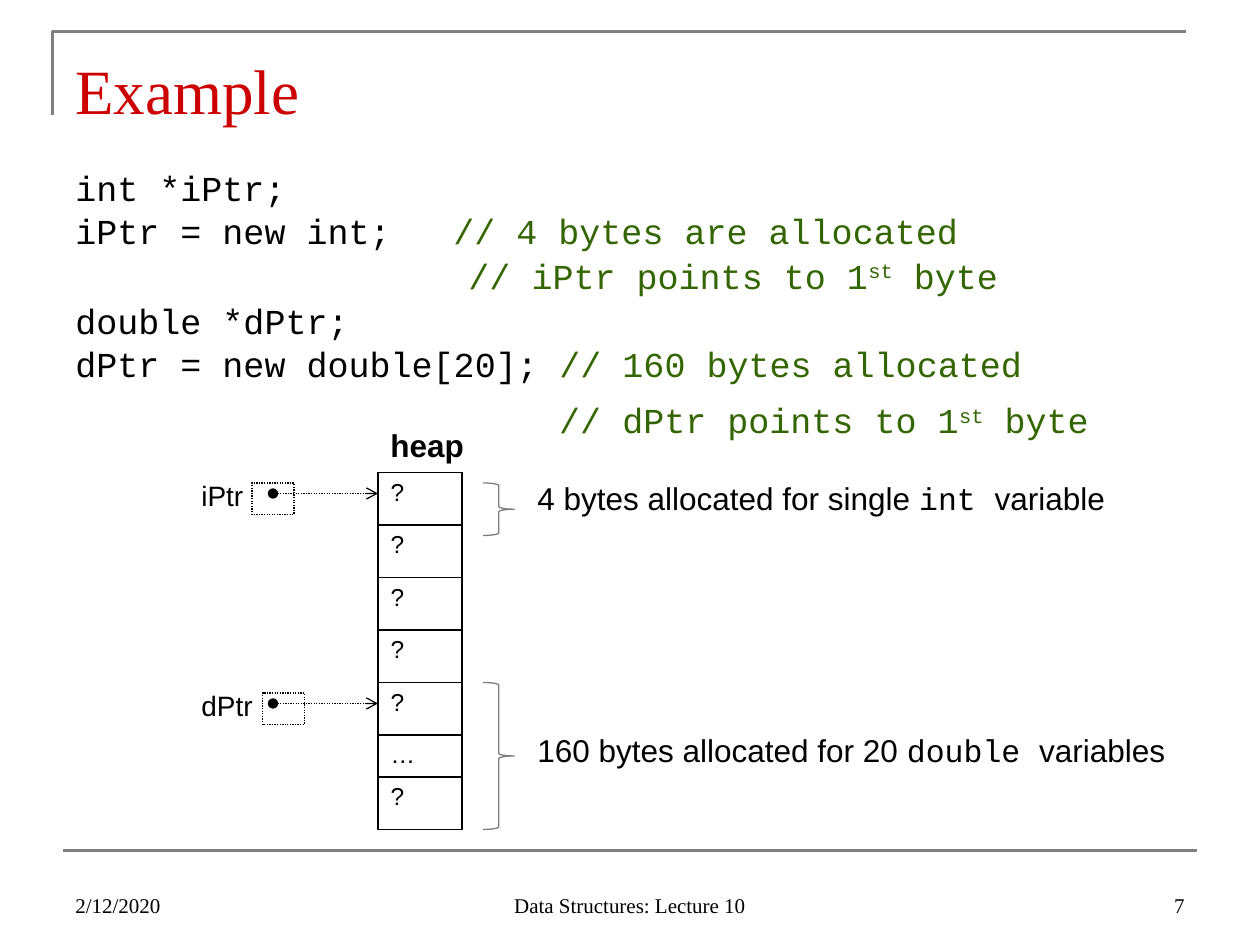
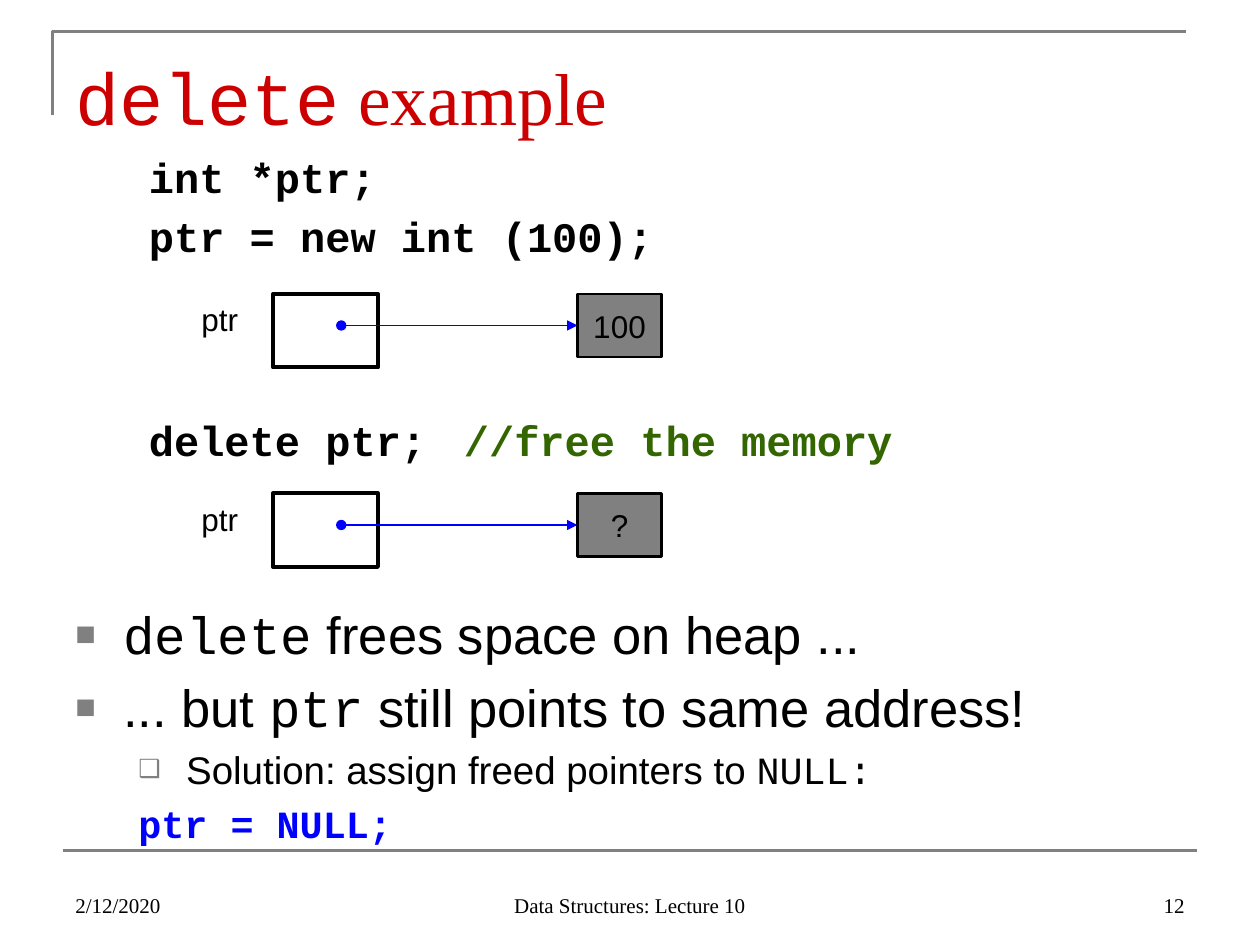
"""Build two lecture slides on dynamic memory: new and delete."""
from lxml import etree
from pptx import Presentation
from pptx import util as u
from pptx.dml.color import RGBColor
from pptx.enum import dml, shapes, text
from pptx.oxml.ns import qn

BLACK = RGBColor(0x00, 0x00, 0x00)
GRAY = RGBColor(0x80, 0x80, 0x80)
BRACE = RGBColor(0x7D, 0x7D, 0x7D)
RED = RGBColor(0xCC, 0x00, 0x00)
GREEN = RGBColor(0x33, 0x66, 0x00)
BLUE = RGBColor(0x00, 0x00, 0xFF)
SANS, MONO, SERIF = "Arial", "Courier New", "Times New Roman"
LEFT, CENTER, RIGHT = text.PP_ALIGN.LEFT, text.PP_ALIGN.CENTER, text.PP_ALIGN.RIGHT
RECT, RIGHT_BRACE = shapes.MSO_SHAPE.RECTANGLE, shapes.MSO_SHAPE.RIGHT_BRACE
DOTTED = dml.MSO_LINE.ROUND_DOT
CELLS_PER_INCH = 12
LOWERED = 0.11

FOOTERS = [((6, 82, 28, 6), "2/12/2020", LEFT), ((41, 82, 38, 6), "Data Structures: Lecture 10", CENTER)]
NUMBER_BOX = (86, 82, 28, 6)
TITLE_BOX = (6, 3.6, 108, 9.4)

NOTE, CODE, PROSE = dict(color=GREEN), dict(font=MONO), dict(font=SANS)
SUPER = dict(color=GREEN, sup=True)

NEW_TITLE = [("Example", {})]
NEW_CODE = [
    ([("int *iPtr;", {})], {}),
    ([("iPtr = new int;\t", {}), ("// 4 bytes are allocated", NOTE)], dict(before=15, tab=3.38)),
    ([("// iPtr points to 1", NOTE), ("st", SUPER), (" byte", NOTE)], dict(before=20, margin=3.12)),
    ([("double *dPtr;", {})], dict(before=20)),
    ([("dPtr = new double[20]; ", {}), ("// 160 bytes allocated", NOTE)], dict(before=15)),
    ([("// dPtr points to 1", NOTE), ("st", SUPER), (" byte", NOTE)], dict(before=54, margin=3.84)),
]
HEAP = [("?", 5), ("?", 5), ("?", 5), ("?", 5), ("?", 5), ("…", 3.9), ("?", 5)]
HEAP_LEFT, HEAP_TOP, HEAP_WIDTH = 36, 45, 8
POINTERS = [("iPtr", 45, 24), ("dPtr", 65, 25)]
BLOCKS = [
    (46, 5, 45, [("4 bytes allocated for single ", {}), ("int ", CODE), ("variable", {})]),
    (65, 14, 69, [("160 bytes allocated for 20 ", {}), ("double ", CODE), ("variables", {})]),
]

DELETE_TITLE = [("delete", CODE), (" example", {})]
DELETE_CODE = [([("int *ptr;", {})], {}), ([("ptr = new int (100);", {})], dict(before=20))]
FREE_CODE = [([("delete ptr;\t", {}), ("//free the memory", NOTE)], dict(tab=3))]
STATES = [(28, "100"), (47, "?")]
ITEM = dict(before=20, margin=0.38, hang=0.38, bullet="■")
LESSONS = [
    ([("delete", CODE), (" frees space on heap ...", {})], dict(ITEM, before=0)),
    ([("... but ", {}), ("ptr", CODE), (" still points to same address!", {})], ITEM),
    ([("Solution: assign freed pointers to ", dict(size=22)), ("NULL:", dict(CODE, size=22))],
     dict(ITEM, margin=0.88, bullet="❑")),
    ([("ptr = NULL;", dict(CODE, size=22, color=BLUE, bold=True))], dict(before=20, margin=0.5)),
]


def grid(*cells):
    lengths = [u.Inches(c / CELLS_PER_INCH) for c in cells]
    return lengths if len(lengths) > 1 else lengths[0]


def child(parent, tag, **attrs):
    return etree.SubElement(parent, qn(tag), {k: str(v) for k, v in attrs.items()})


def format_paragraph(p, before=0, margin=0, hang=0, bullet=None, tab=None):
    pPr = p._p.get_or_add_pPr()
    pPr.set("marL", str(u.Inches(margin)))
    pPr.set("indent", str(u.Inches(-hang)))
    if before:
        child(child(pPr, "a:spcBef"), "a:spcPct", val=before * 1000)
    if bullet:
        child(child(pPr, "a:buClr"), "a:srgbClr", val=GRAY)
        child(pPr, "a:buSzPct", val=65000)
        child(pPr, "a:buFont", typeface=SANS)
        child(pPr, "a:buChar", char=bullet)
    else:
        child(pPr, "a:buNone")
    if tab:
        child(child(pPr, "a:tabLst"), "a:tab", pos=u.Inches(tab), algn="l")


def write(tf, paragraphs, size=18, font=SANS, color=BLACK, bold=False, align=LEFT, spacing=None):
    for i, (runs, layout) in enumerate(paragraphs):
        p = tf.paragraphs[0] if i == 0 else tf.add_paragraph()
        format_paragraph(p, **layout)
        p.alignment = align
        if spacing:
            p.line_spacing = spacing
        for words, own in runs:
            r = p.add_run()
            r.text = words
            r.font.size = u.Pt(own.get("size", size))
            r.font.name = own.get("font", font)
            r.font.bold = own.get("bold", bold)
            r.font.color.rgb = own.get("color", color)
            if own.get("sup"):
                r._r.get_or_add_rPr().set("baseline", "30000")


def add_text(slide, box, content, top=0.05, anchor=text.MSO_ANCHOR.TOP, **fmt):
    tf = slide.shapes.add_textbox(*grid(*box)).text_frame
    tf.word_wrap = True
    tf.margin_top = u.Inches(top)
    tf.vertical_anchor = anchor
    write(tf, [([(content, {})], {})] if isinstance(content, str) else content, **fmt)


def add_outline(slide, kind, box, color=BLACK, width=0.75, dash=None, fill=None):
    sp = slide.shapes.add_shape(kind, *grid(*box))
    sp.shadow.inherit = False
    sp.line.color.rgb, sp.line.width = color, u.Pt(width)
    if dash:
        sp.line.dash_style = dash
    if fill is None:
        sp.fill.background()
    else:
        sp.fill.solid()
        sp.fill.fore_color.rgb = fill
    return sp


def add_line(slide, x1, x2, y, color=BLACK, width=0.75, dash=None, tip=None):
    line = slide.shapes.add_connector(shapes.MSO_CONNECTOR.STRAIGHT, *grid(x1, y, x2, y))
    line.line.color.rgb, line.line.width = color, u.Pt(width)
    if dash:
        line.line.dash_style = dash
    if tip:
        ln = line.line._get_or_add_ln()
        child(ln, "a:headEnd", type="oval")
        child(ln, "a:tailEnd", type=tip)
    child(line._element.spPr, "a:effectLst")
    return line


def add_frame(prs, number, title, size):
    slide = prs.slides.add_slide(prs.slide_layouts[6])
    corner = slide.shapes.build_freeform(*grid(5, 11))
    corner.add_line_segments([grid(5, 3), grid(113, 3)], close=False)
    sp = corner.convert_to_shape()
    sp.shadow.inherit = False
    sp.fill.background()
    sp.line.color.rgb, sp.line.width = GRAY, u.Pt(1.5)
    add_line(slide, 6, 114, 81, GRAY, 1.5)
    for box, words, align in FOOTERS + [(NUMBER_BOX, number, RIGHT)]:
        add_text(slide, box, words, anchor=text.MSO_ANCHOR.BOTTOM, size=12, font=SERIF, align=align)
    add_text(slide, TITLE_BOX, [(title, {})], top=LOWERED, size=size, font=SERIF, color=RED)
    return slide


def add_heap(slide):
    total = sum(rows for _, rows in HEAP)
    frame = slide.shapes.add_table(len(HEAP), 1, *grid(HEAP_LEFT, HEAP_TOP, HEAP_WIDTH, total))
    table = frame.table
    table.first_row = table.horz_banding = False
    for i, (value, rows) in enumerate(HEAP):
        table.rows[i].height = grid(rows)
        cell = table.cell(i, 0)
        write(cell.text_frame, [([(value, {})], {})], size=14)
        tcPr = cell._tc.get_or_add_tcPr()
        for side in ("a:lnL", "a:lnR", "a:lnT", "a:lnB"):
            ln = child(tcPr, side, w=u.Pt(1))
            child(child(ln, "a:solidFill"), "a:srgbClr", val=BLACK)
        cell.fill.background()


def build_new_slide(prs):
    slide = add_frame(prs, "7", NEW_TITLE, 36)
    add_text(slide, (6, 15, 108, 24), NEW_CODE, top=LOWERED, size=20, font=MONO, spacing=0.9)
    add_heap(slide)
    add_text(slide, (HEAP_LEFT, 40, 16, 4.8), "heap", bold=True)
    for name, row, left in POINTERS:
        add_text(slide, (18, row, 8, 4.4), name, size=16)
        add_outline(slide, RECT, (left, row + 1, 4, 3), dash=DOTTED)
        add_line(slide, 26, HEAP_LEFT, row + 2, dash=DOTTED, tip="arrow")
    for top, height, label_top, label in BLOCKS:
        add_outline(slide, RIGHT_BRACE, (46, top, 3, height), BRACE)
        add_text(slide, (50, label_top, 64, 4.8), [(label, {})])


def build_delete_slide(prs):
    slide = add_frame(prs, "12", DELETE_TITLE, 42)
    code = dict(top=0.12, size=24, font=MONO, bold=True)
    add_text(slide, (13, 13, 102, 14), DELETE_CODE, **code)
    add_text(slide, (13, 38, 85, 6), FREE_CODE, **code)
    for row, value in STATES:
        add_text(slide, (18, row, 8, 6), "ptr")
        add_outline(slide, RECT, (26, row, 10, 7), width=2.25)
        target = add_outline(slide, RECT, (55, row, 8, 6), width=1.5, fill=GRAY)
        target.text_frame.word_wrap = False
        target.text_frame.vertical_anchor = text.MSO_ANCHOR.MIDDLE
        write(target.text_frame, [([(value, {})], {})], align=CENTER)
        add_line(slide, 32.5, 55, row + 3, BLUE, tip="triangle").end_connect(target, 1)
    add_text(slide, (6, 56, 108, 24.5), LESSONS, top=LOWERED, size=30)


def main():
    prs = Presentation()
    prs.slide_width, prs.slide_height = grid(120, 90)
    build_new_slide(prs)
    build_delete_slide(prs)
    prs.save("out.pptx")


if __name__ == "__main__":
    main()
